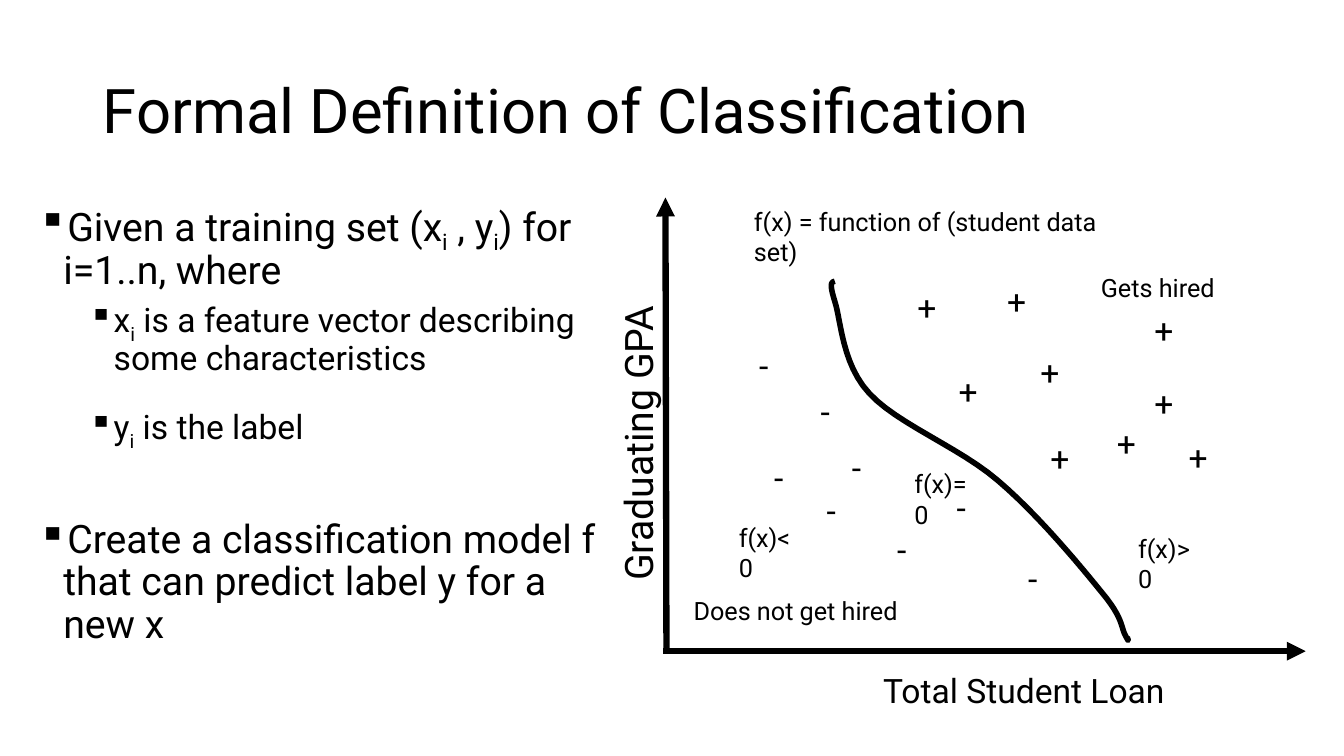
from lxml import etree
from pptx import Presentation
from pptx.dml.color import RGBColor
from pptx.enum.shapes import MSO_CONNECTOR as Conn
from pptx.enum.text import MSO_ANCHOR as Anchor
from pptx.oxml.ns import qn
from pptx.util import Inches, Pt

BLACK = "000000"
FONT = "Roboto"

# Left and top of each mark's box
HIRED = [(9.41, 3.63), (10.22, 3.44), (10.32, 4.3), (9.89, 2.74), (11.35, 3.75),
         (11.35, 3.03), (11.69, 4.29), (10.98, 4.15), (9, 2.8)]
NOT_HIRED = [(8.04, 3.83), (7.58, 4.48), (8.35, 4.38), (8.1, 4.81), (9.39, 4.78),
             (8.8, 5.2), (10.1, 5.49), (7.43, 3.37)]

# Text, left, top, width, size
LABELS = [
    ("Total Student Loan", 8.66, 6.6, 3.29, 24),
    ("f(x) = function of (student data set)", 7.38, 2, 4, 18),
    ("Gets hired", 10.82, 2.65, 1.4, 18),
    ("Does not get hired", 6.78, 5.86, 2.28, 18),
    ("f(x)>0", 11.19, 5.24, 0.8, 18),
    ("f(x)=0", 8.97, 4.6, 0.8, 18),
    ("f(x)<0", 7.23, 5.13, 0.8, 18),
]

# Level, space before, runs; True marks a subscript
BULLETS = [
    (0, 0, [("Given a training set (x", False), ("i", True), (" , y", False),
            ("i", True), (") for i=1..n, where", False)]),
    (1, 5, [("x", False), ("i", True),
            (" is a feature vector describing some characteristics", False)]),
    (1, 21, [("y", False), ("i", True), (" is the label", False)]),
    (0, 51, [("Create a classification model f that can predict label y for a new x",
              False)]),
]

# Boundary: start point, then two handles and an end for each Bezier piece
START = (8.28, 2.79)
CURVES = [
    [(8.25, 2.8), (8.22, 2.8), (8.28, 2.99)],
    [(8.34, 3.17), (8.35, 3.61), (8.62, 3.9)],
    [(8.89, 4.2), (9.52, 4.44), (9.9, 4.77)],
    [(10.29, 5.1), (10.72, 5.62), (10.93, 5.88)],
    [(11.14, 6.13), (11.12, 6.23), (11.16, 6.3)],
    [(11.2, 6.38), (11.19, 6.35), (11.18, 6.32)],
]


def color(code):
    return RGBColor.from_string(code)


def add_run(para, text, size, sub=False):
    run = para.add_run()
    run.text = text
    run.font.size = Pt(size)
    run.font.name = FONT
    run.font.color.rgb = color(BLACK)
    if sub:
        run.font._element.set("baseline", "-25000")


def add_box(slide, left, top, width, height):
    box = slide.shapes.add_textbox(
        Inches(left), Inches(top), Inches(width), Inches(height))
    box.text_frame.word_wrap = True
    return box


def add_label(slide, text, left, top, width, size, height=0.5):
    box = add_box(slide, left, top, width, height)
    add_run(box.text_frame.paragraphs[0], text, size)
    return box


def add_title(slide, text):
    box = add_label(slide, text, 0.92, 0.4, 11.5, 44, 1.45)
    box.text_frame.vertical_anchor = Anchor.MIDDLE
    box.text_frame.paragraphs[0].line_spacing = 0.9


def add_list(slide, items):
    frame = add_box(slide, 0.28, 1.96, 5.83, 4.76).text_frame
    for n, (level, space, runs) in enumerate(items):
        para = frame.add_paragraph() if n else frame.paragraphs[0]
        para.level = level
        para.line_spacing = 0.9
        para.space_before = Pt(space)
        props = para._p.get_or_add_pPr()
        props.set("marL", str(Inches(0.25 + 0.5 * level)))
        props.set("indent", str(Inches(-0.25)))
        etree.SubElement(props, qn("a:buChar")).set("char", "▪")
        for text, sub in runs:
            add_run(para, text, 28 - 4 * level, sub)


def add_axis(slide, start, end):
    axis = slide.shapes.add_connector(
        Conn.STRAIGHT, *(Inches(v) for v in start + end))
    axis.line.color.rgb = color(BLACK)
    axis.line.width = Pt(4.5)
    etree.SubElement(axis.line._get_or_add_ln(), qn("a:tailEnd")).set("type", "triangle")
    etree.SubElement(axis._element.spPr, qn("a:effectLst"))


def bezier(p0, p1, p2, p3, steps=12):
    for n in range(1, steps + 1):
        t = n / steps
        u = 1 - t
        yield tuple(Inches(u**3 * a + 3 * u * u * t * b + 3 * u * t * t * c + t**3 * d)
                    for a, b, c, d in zip(p0, p1, p2, p3))


def add_curve(slide, start, pieces):
    points = []
    last = start
    for piece in pieces:
        points.extend(bezier(last, *piece))
        last = piece[-1]
    build = slide.shapes.build_freeform(Inches(start[0]), Inches(start[1]))
    build.add_line_segments(points, close=False)
    curve = build.convert_to_shape()
    curve.shadow.inherit = False
    curve.fill.background()
    curve.line.color.rgb = color(BLACK)
    curve.line.width = Pt(4)


def main():
    prs = Presentation()
    prs.slide_width, prs.slide_height = Inches(13.33), Inches(7.5)
    slide = prs.slides.add_slide(prs.slide_layouts[6])

    # Title and definition
    add_title(slide, "Formal Definition of Classification")
    add_list(slide, BULLETS)

    # Axes
    add_axis(slide, (6.58, 6.46), (12.95, 6.46))
    add_axis(slide, (6.61, 6.45), (6.6, 1.96))
    side = add_label(slide, "Graduating GPA", 4.79, 4.04, 3.07, 28, 0.57)
    side.rotation = 270

    # Students and boundary
    for mark, spots in (("+", HIRED), ("-", NOT_HIRED)):
        for left, top in spots:
            add_label(slide, mark, left, top, 0.43, 24)
    add_curve(slide, START, CURVES)

    # Labels
    for label in LABELS:
        add_label(slide, *label)

    prs.save("out.pptx")


if __name__ == "__main__":
    main()
